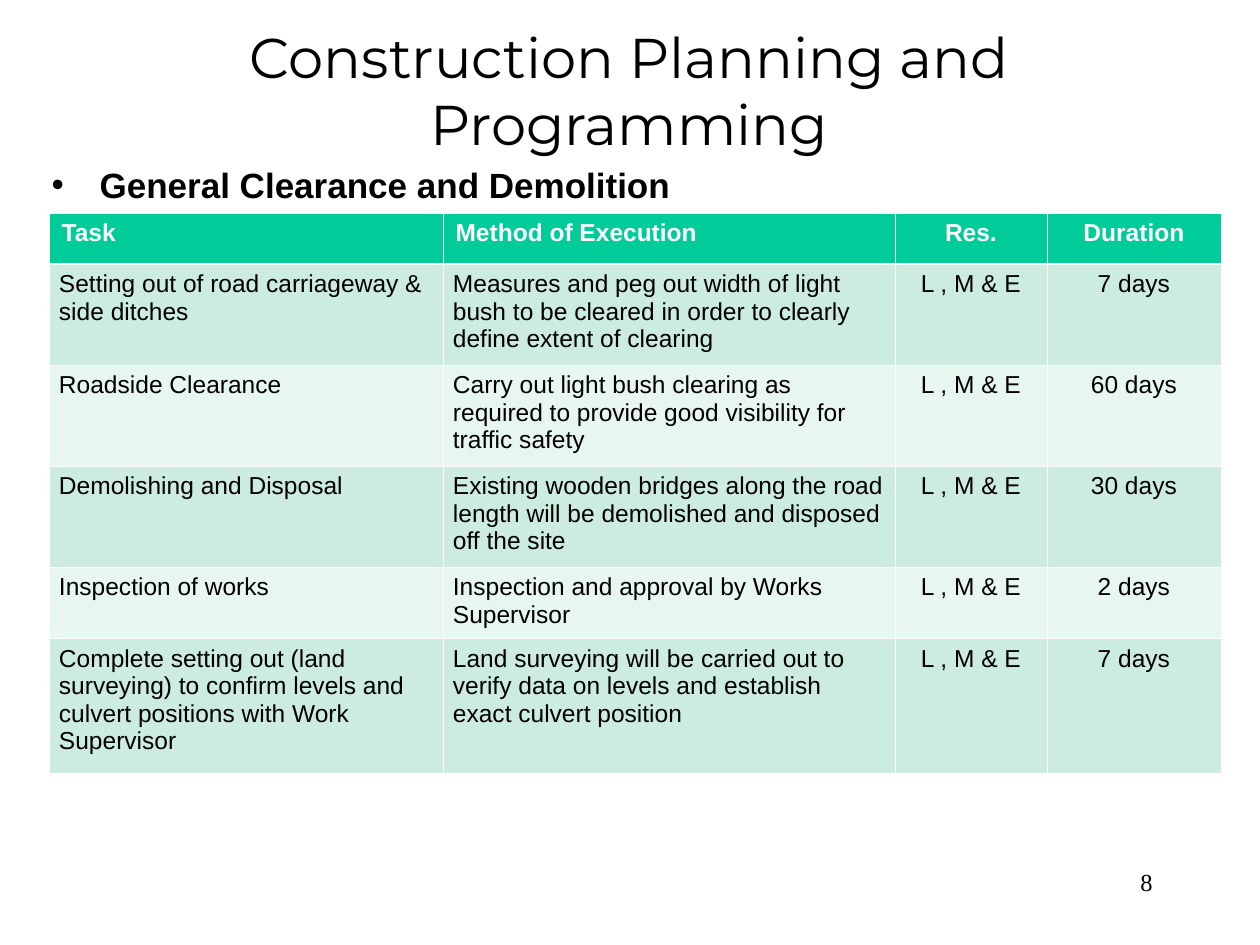
from lxml import etree
from pptx import Presentation
from pptx.dml.color import RGBColor
from pptx.enum.text import MSO_ANCHOR, MSO_AUTO_SIZE, PP_ALIGN
from pptx.oxml.ns import qn
from pptx.util import Emu, Pt

LEFT, CENTER, RIGHT = PP_ALIGN.LEFT, PP_ALIGN.CENTER, PP_ALIGN.RIGHT
TOP, MIDDLE = MSO_ANCHOR.TOP, MSO_ANCHOR.MIDDLE
NO_FIT = MSO_AUTO_SIZE.NONE
EMU_PER_PX = 914400 / 126

COLORS = {
    "text": "000000",
    "white": "FFFFFF",
    "header": "00CC99",
    "band_dark": "CBECDE",
    "band_light": "E7F6EF",
}

COLUMN_WIDTHS = [394, 452, 152, 174]
COLUMN_ALIGNS = [LEFT, LEFT, CENTER, CENTER]
ROW_HEIGHTS = [51, 101, 101, 101, 67, 135]
RESOURCES = "L , M & E"
HEADINGS = ["Task", "Method of Execution", "Res.", "Duration"]
TASKS = [
    ["Setting out of road carriageway & side ditches",
     "Measures and peg out width of light bush to be cleared in order to "
     "clearly define extent of clearing", RESOURCES, "7 days"],
    ["Roadside Clearance",
     "Carry out light bush clearing as required to provide good visibility "
     "for traffic safety", RESOURCES, "60 days"],
    ["Demolishing and Disposal",
     "Existing wooden bridges along the road length will be demolished and "
     "disposed off the site", RESOURCES, "30 days"],
    ["Inspection of works",
     "Inspection and approval by Works Supervisor", RESOURCES, "2 days"],
    ["Complete setting out (land surveying) to confirm levels and culvert "
     "positions with Work Supervisor",
     "Land surveying will be carried out to verify data on levels and "
     "establish exact culvert position", RESOURCES, "7 days"],
]


def px(length):
    return Emu(round(length * EMU_PER_PX))


class SlideBuilder:
    """Holds the style and the current slide, and adds each kind of element."""

    def __init__(self, slide):
        self.slide = slide
        self.body_font = "Arial"
        self.title_font = "Montserrat"
        self.number_font = "Times New Roman"
        self.border_points = 0.45
        self.header_border_points = 1.47

    def place(self, shape, box):
        shape.left, shape.top, shape.width, shape.height = map(px, box)

    def add_text(self, paragraph, text, size, font, color="text", bold=False, align=LEFT):
        paragraph.alignment = align
        run = paragraph.add_run()
        run.text = text
        run.font.size = Pt(size)
        run.font.name = font
        run.font.bold = bold
        run.font.color.rgb = RGBColor.from_string(COLORS[color])

    def title(self, text, box):
        heading = self.slide.shapes.title
        self.place(heading, box)
        frame = heading.text_frame
        frame.auto_size = NO_FIT
        frame.vertical_anchor = MIDDLE
        self.add_text(frame.paragraphs[0], text, 32, self.title_font, align=CENTER)

    def bullet(self, text, box, indent):
        section = self.slide.placeholders[1]
        self.place(section, box)
        frame = section.text_frame
        frame.auto_size = NO_FIT
        frame.vertical_anchor = TOP
        paragraph = frame.paragraphs[0]
        properties = paragraph._p.get_or_add_pPr()
        properties.set("marL", str(px(indent)))
        properties.set("indent", str(-px(indent)))
        etree.SubElement(properties, qn("a:buFont"), typeface=self.body_font)
        etree.SubElement(properties, qn("a:buChar"), char="•")
        paragraph.space_before = Pt(0)
        self.add_text(paragraph, text, 20, self.body_font, bold=True)

    def page_number(self, text, box):
        number = self.slide.shapes.add_textbox(*map(px, box))
        frame = number.text_frame
        frame.word_wrap = True
        self.add_text(frame.paragraphs[0], text, 14, self.number_font, align=RIGHT)

    def borders(self, cell, row):
        widths = {"L": self.border_points, "R": self.border_points,
                  "T": self.header_border_points if row == 1 else self.border_points,
                  "B": self.header_border_points if row == 0 else self.border_points}
        properties = cell._tc.get_or_add_tcPr()
        for position, (side, points) in enumerate(widths.items()):
            line = etree.Element(qn(f"a:ln{side}"), w=str(Pt(points)))
            fill = etree.SubElement(line, qn("a:solidFill"))
            etree.SubElement(fill, qn("a:srgbClr"), val=COLORS["white"])
            properties.insert(position, line)

    def cell(self, cell, text, row, align):
        is_header = row == 0
        band = "header" if is_header else "band_dark" if row % 2 else "band_light"
        cell.fill.solid()
        cell.fill.fore_color.rgb = RGBColor.from_string(COLORS[band])
        self.borders(cell, row)
        if not is_header and align == LEFT:
            cell.margin_left = cell.margin_right = px(10)
        self.add_text(cell.text_frame.paragraphs[0], text, 14, self.body_font,
                      "white" if is_header else "text", is_header, align)

    def table(self, rows, left, top):
        box = (left, top, sum(COLUMN_WIDTHS), sum(ROW_HEIGHTS))
        schedule = self.slide.shapes.add_table(
            len(rows), len(COLUMN_WIDTHS), *map(px, box)).table
        for column, width in zip(schedule.columns, COLUMN_WIDTHS):
            column.width = px(width)
        for index, (values, height) in enumerate(zip(rows, ROW_HEIGHTS)):
            schedule.rows[index].height = px(height)
            for column, (text, align) in enumerate(zip(values, COLUMN_ALIGNS)):
                self.cell(schedule.cell(index, column), text, index, align)


def main():
    presentation = Presentation()
    presentation.slide_width, presentation.slide_height = px(1260), px(945)
    builder = SlideBuilder(presentation.slides.add_slide(presentation.slide_layouts[1]))
    builder.page_number("8", (903, 861, 262, 63))
    builder.title("Construction Planning and Programming", (94, 32, 1071, 116))
    builder.bullet("General Clearance and Demolition", (39, 157, 1144, 680), 48)
    builder.table([HEADINGS, *TASKS], 49, 213)
    presentation.save("out.pptx")


if __name__ == "__main__":
    main()
